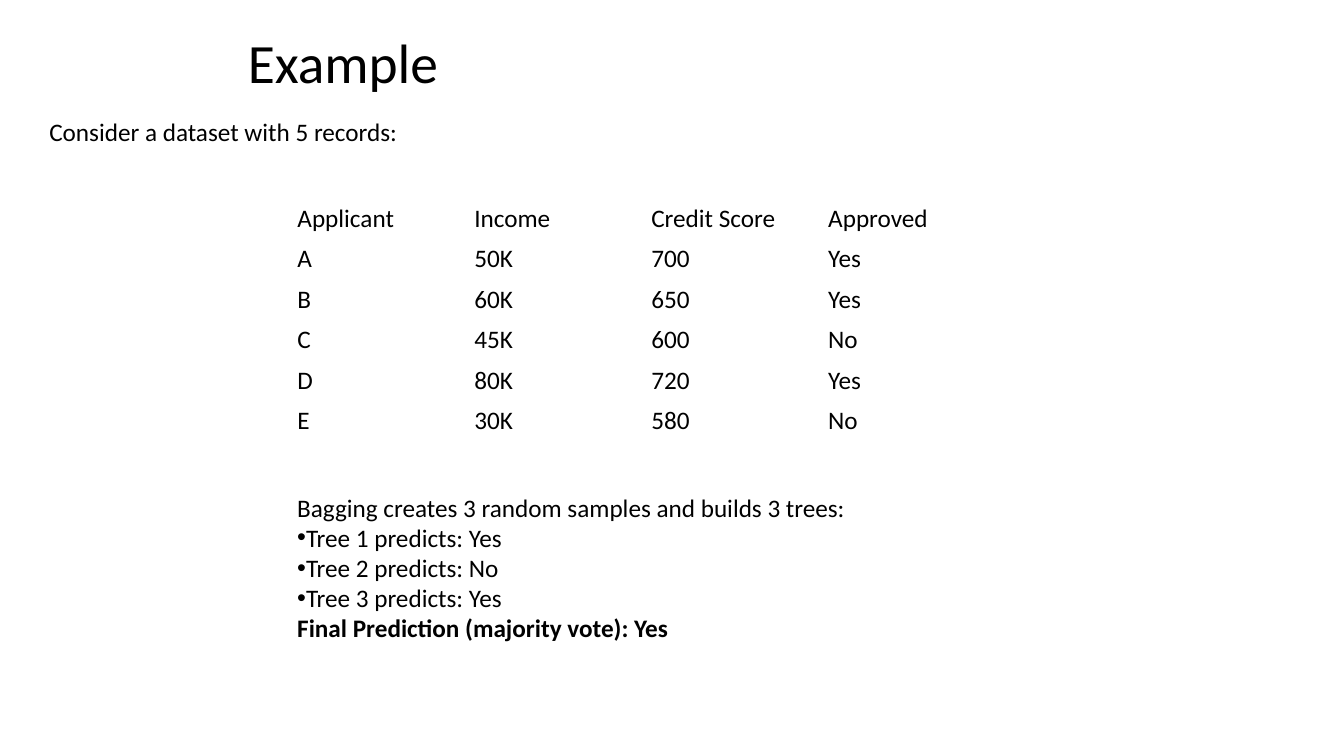
from dataclasses import dataclass

from lxml import etree
from pptx import Presentation
from pptx.dml.color import RGBColor
from pptx.enum.text import MSO_ANCHOR, MSO_AUTO_SIZE, PP_ALIGN
from pptx.oxml.ns import qn
from pptx.util import Inches, Pt

MIDDLE, TOP = MSO_ANCHOR.MIDDLE, MSO_ANCHOR.TOP
LEFT, JUSTIFY = PP_ALIGN.LEFT, PP_ALIGN.JUSTIFY
GROW, FIXED = MSO_AUTO_SIZE.SHAPE_TO_FIT_TEXT, MSO_AUTO_SIZE.NONE

SLIDE_WIDTH, SLIDE_HEIGHT = Inches(13.33), Inches(7.5)
COLORS = {"text": "000000", "background": "FFFFFF"}
FONT = "Calibri"
BODY_SIZE = 18


@dataclass(frozen=True)
class Area:
    """Left, top, width and height in percent of the slide's size."""
    left: float
    top: float
    width: float
    height: float

    def emu(self) -> tuple[int, int, int, int]:
        return (round(SLIDE_WIDTH * self.left / 100),
                round(SLIDE_HEIGHT * self.top / 100),
                round(SLIDE_WIDTH * self.width / 100),
                round(SLIDE_HEIGHT * self.height / 100))


@dataclass(frozen=True)
class Line:
    text: str
    bullet: bool = False
    bold: bool = False


@dataclass(frozen=True)
class TextBlock:
    area: Area
    lines: tuple[Line, ...]
    size: float = BODY_SIZE
    wrap: bool = True
    fit: MSO_AUTO_SIZE = GROW
    anchor: MSO_ANCHOR = TOP
    align: PP_ALIGN = LEFT
    spacing: float = 1.0


TEXT_BLOCKS = (
    TextBlock(Area(17.7, 5.73, 74.57, 5.87), (Line("Example"),), size=39.6,
              fit=FIXED, anchor=MIDDLE, align=JUSTIFY, spacing=0.9),
    TextBlock(Area(2.93, 14.67, 27.68, 5.33),
              (Line("Consider a dataset with 5 records:"),), wrap=False),
    TextBlock(Area(21.38, 64.4, 52.66, 21.6), (
        Line("Bagging creates 3 random samples and builds 3 trees:"),
        Line("Tree 1 predicts: Yes", bullet=True),
        Line("Tree 2 predicts: No", bullet=True),
        Line("Tree 3 predicts: Yes", bullet=True),
        Line("Final Prediction (majority vote): Yes", bold=True),
    )),
)

RECORDS_AREA = Area(21.38, 26.27, 52.66, 32)
RECORDS = (
    ("Applicant", "Income", "Credit Score", "Approved"),
    ("A", "50K", "700", "Yes"),
    ("B", "60K", "650", "Yes"),
    ("C", "45K", "600", "No"),
    ("D", "80K", "720", "Yes"),
    ("E", "30K", "580", "No"),
)


def style_font(paragraph, size: float, bold: bool = False) -> None:
    font = paragraph.font
    font.name = FONT
    font.size = Pt(size)
    font.bold = bold
    font.color.rgb = RGBColor.from_string(COLORS["text"])


def add_bullet(paragraph) -> None:
    properties = paragraph._p.get_or_add_pPr()
    properties.set("marL", "0")
    properties.set("indent", "0")
    etree.SubElement(properties, qn("a:buFont"), typeface="Arial")
    etree.SubElement(properties, qn("a:buChar"), char="•")


def add_text_block(slide, block: TextBlock) -> None:
    frame = slide.shapes.add_textbox(*block.area.emu()).text_frame
    frame.word_wrap = block.wrap
    frame.auto_size = block.fit
    frame.vertical_anchor = block.anchor
    for index, line in enumerate(block.lines):
        paragraph = frame.add_paragraph() if index else frame.paragraphs[0]
        paragraph.text = line.text
        paragraph.alignment = block.align
        paragraph.line_spacing = block.spacing
        if line.bullet:
            add_bullet(paragraph)
        style_font(paragraph, block.size, line.bold)


def add_records(slide) -> None:
    table = slide.shapes.add_table(
        len(RECORDS), len(RECORDS[0]), *RECORDS_AREA.emu()).table
    table.first_row = False
    table.horz_banding = False
    for row, record in enumerate(RECORDS):
        for column, value in enumerate(record):
            cell = table.cell(row, column)
            cell.text = value
            cell.vertical_anchor = MIDDLE
            cell.fill.solid()
            cell.fill.fore_color.rgb = RGBColor.from_string(COLORS["background"])
            style_font(cell.text_frame.paragraphs[0], BODY_SIZE)


def main() -> None:
    presentation = Presentation()
    presentation.slide_width = SLIDE_WIDTH
    presentation.slide_height = SLIDE_HEIGHT
    slide = presentation.slides.add_slide(presentation.slide_layouts[6])
    title, intro, voting = TEXT_BLOCKS
    add_text_block(slide, title)
    add_text_block(slide, intro)
    add_records(slide)
    add_text_block(slide, voting)
    presentation.save("out.pptx")


if __name__ == "__main__":
    main()
